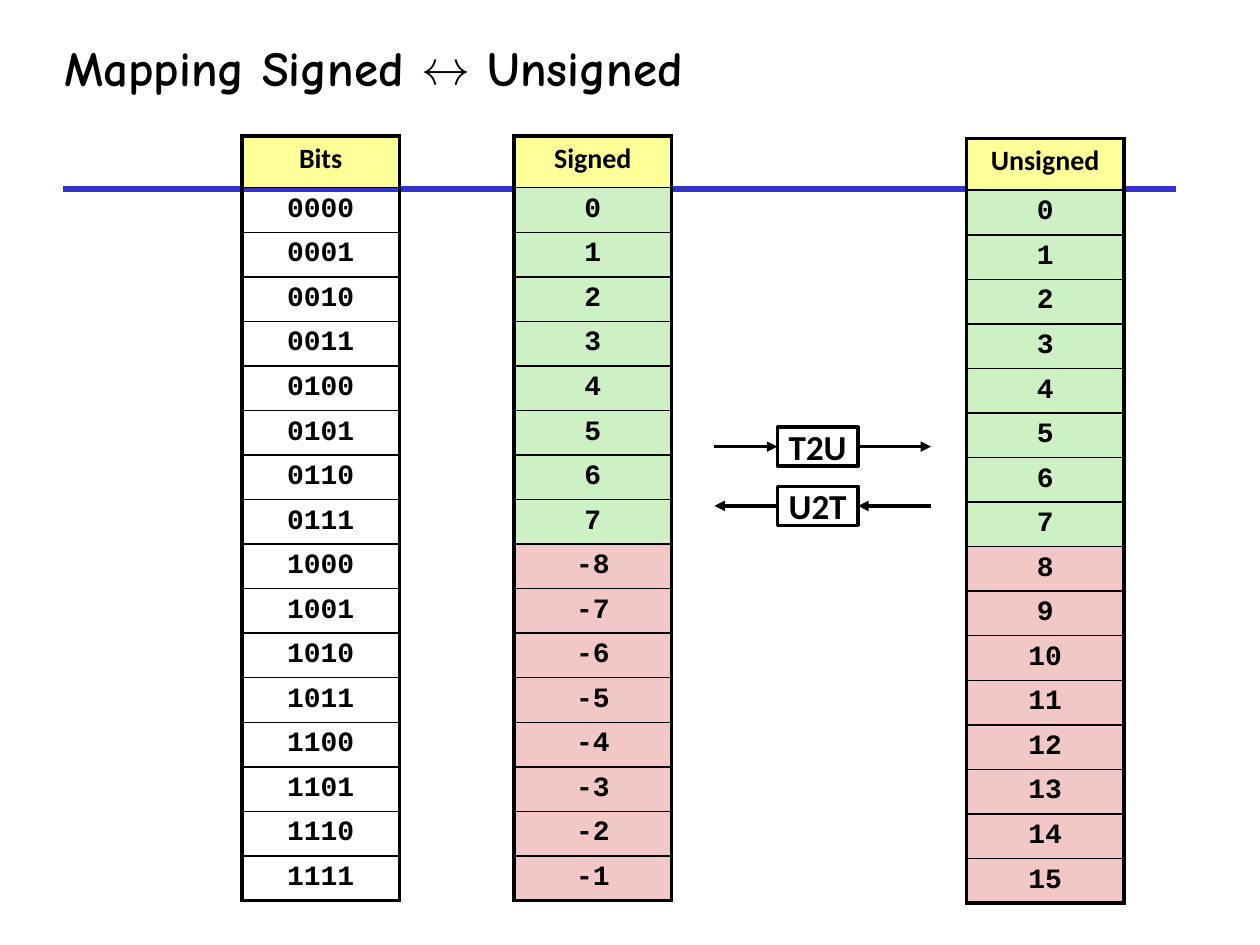
from lxml import etree
from pptx import Presentation
from pptx import util as u
from pptx.dml.color import RGBColor
from pptx.enum import shapes, text
from pptx.oxml.ns import qn

BLACK = RGBColor(0x00, 0x00, 0x00)
WHITE = RGBColor(0xFF, 0xFF, 0xFF)
BLUE = RGBColor(0x33, 0x33, 0xCC)
YELLOW = RGBColor(0xFF, 0xFF, 0x99)
GREEN = RGBColor(0xCD, 0xF1, 0xC5)
PINK = RGBColor(0xF1, 0xC7, 0xC7)

BIT_COUNT = 4
PATTERNS = range(2 ** BIT_COUNT)
HALF = len(PATTERNS) // 2
HEADER_HEIGHT, ROW_HEIGHT = 0.41, 0.35
COLUMN_WIDTH = 1.25


def write(frame, content, *, size, font, align=text.PP_ALIGN.LEFT, spacing=None):
    paragraph = frame.paragraphs[0]
    paragraph.alignment = align
    paragraph.line_spacing = spacing
    run = paragraph.add_run()
    run.text = content
    run.font.size = u.Pt(size)
    run.font.name = font
    run.font.bold = True
    run.font.color.rgb = BLACK


def set_margins(holder, horizontal, vertical):
    holder.margin_left = holder.margin_right = u.Inches(horizontal)
    holder.margin_top = holder.margin_bottom = u.Inches(vertical)


def set_borders(cell, **widths):
    """Draw black cell borders; widths in points are keyed L, R, T and B, in that order."""
    properties = cell._tc.get_or_add_tcPr()
    for side, width in widths.items():
        line = etree.SubElement(properties, qn(f"a:ln{side}"), w=str(u.Pt(width)))
        fill = etree.SubElement(line, qn("a:solidFill"))
        etree.SubElement(fill, qn("a:srgbClr"), val=str(BLACK))


class SlideBuilder:
    def __init__(self, slide):
        self.slide = slide
        self.heading_font = "Comic Neue"
        self.label_font = "Calibri"
        self.number_font = "Courier New"

    def title(self, content, left, top, width, height):
        box = self.slide.shapes.add_textbox(*map(u.Inches, (left, top, width, height)))
        box.text_frame.word_wrap = True
        set_margins(box.text_frame, 0.07, 0.03)
        write(box.text_frame, content, size=28, font=self.heading_font)

    def line(self, start, end, *, color=BLACK, width=2, arrow=False, parent=None):
        connector = (parent or self.slide).shapes.add_connector(
            shapes.MSO_CONNECTOR.STRAIGHT, *map(u.Inches, (*start, *end)))
        connector.line.color.rgb = color
        connector.line.width = u.Pt(width)
        if arrow:
            etree.SubElement(connector.line._get_or_add_ln(), qn("a:tailEnd"), type="triangle")
        etree.SubElement(connector._element.spPr, qn("a:effectLst"))
        return connector

    def column(self, header, values, left, top, fills):
        """Add a one-column table; a fill of None leaves the cell clear."""
        row_count = len(values) + 1
        height = HEADER_HEIGHT + len(values) * ROW_HEIGHT
        table = self.slide.shapes.add_table(
            row_count, 1, *map(u.Inches, (left, top, COLUMN_WIDTH, height))).table
        table.first_row = table.horz_banding = False
        for index, (value, color) in enumerate(zip([header, *values], [YELLOW, *fills])):
            is_header = index == 0
            table.rows[index].height = u.Inches(HEADER_HEIGHT if is_header else ROW_HEIGHT)
            cell = table.cell(index, 0)
            set_margins(cell, 0.05, 0.05)
            set_borders(cell, L=2.25, R=2.25, T=2.25 if is_header else 1,
                        B=2.25 if index == row_count - 1 else 1)
            if color is None:
                cell.fill.background()
            else:
                cell.fill.solid()
                cell.fill.fore_color.rgb = color
            write(cell.text_frame, str(value), size=16, spacing=0.95,
                  font=self.label_font if is_header else self.number_font,
                  align=text.PP_ALIGN.CENTER)

    def conversion(self, label, top, *, rightward):
        """Add a labelled box with one arrow into it and one out of it."""
        left, width, height = 6.17, 0.64, 0.31
        middle = top + height / 2
        group = self.slide.shapes.add_group_shape()
        box = group.shapes.add_shape(
            shapes.MSO_SHAPE.RECTANGLE, *map(u.Inches, (left, top, width, height)))
        box.shadow.inherit = False
        box.fill.solid()
        box.fill.fore_color.rgb = WHITE
        box.line.color.rgb = BLACK
        box.line.width = u.Pt(2)
        frame = box.text_frame
        frame.word_wrap = False
        frame.vertical_anchor = text.MSO_ANCHOR.MIDDLE
        set_margins(frame, 0.1, 0.05)
        write(frame, label, size=20, font=self.label_font, align=text.PP_ALIGN.CENTER)

        for outer, side, site, inward in ((5.67, left, 1, rightward),
                                          (7.39, left + width, 3, not rightward)):
            ends = [(outer, middle), (side, middle)]
            if inward:
                self.line(*ends, arrow=True, parent=group).end_connect(box, site)
            else:
                self.line(*reversed(ends), arrow=True, parent=group).begin_connect(box, site)


def main():
    presentation = Presentation()
    presentation.slide_width = u.Inches(10)
    presentation.slide_height = u.Inches(7.5)
    builder = SlideBuilder(presentation.slides.add_slide(presentation.slide_layouts[6]))

    builder.line((0.5, 1.5), (9.33, 1.5), color=BLUE, width=3)
    builder.title("Mapping Signed ↔ Unsigned", 0.44, 0.27, 7.46, 0.61)

    signed = [n if n < HALF else n - len(PATTERNS) for n in PATTERNS]
    bits = [f"{n:0{BIT_COUNT}b}" for n in PATTERNS]
    halves = [GREEN] * HALF + [PINK] * HALF
    builder.column("Signed", signed, 4.08, 1.08, halves)
    builder.column("Unsigned", PATTERNS, 7.67, 1.1, halves)
    builder.column("Bits", bits, 1.92, 1.08, [None] * len(PATTERNS))

    builder.conversion("U2T", 3.86, rightward=False)
    builder.conversion("T2U", 3.39, rightward=True)
    presentation.save("out.pptx")


if __name__ == "__main__":
    main()
